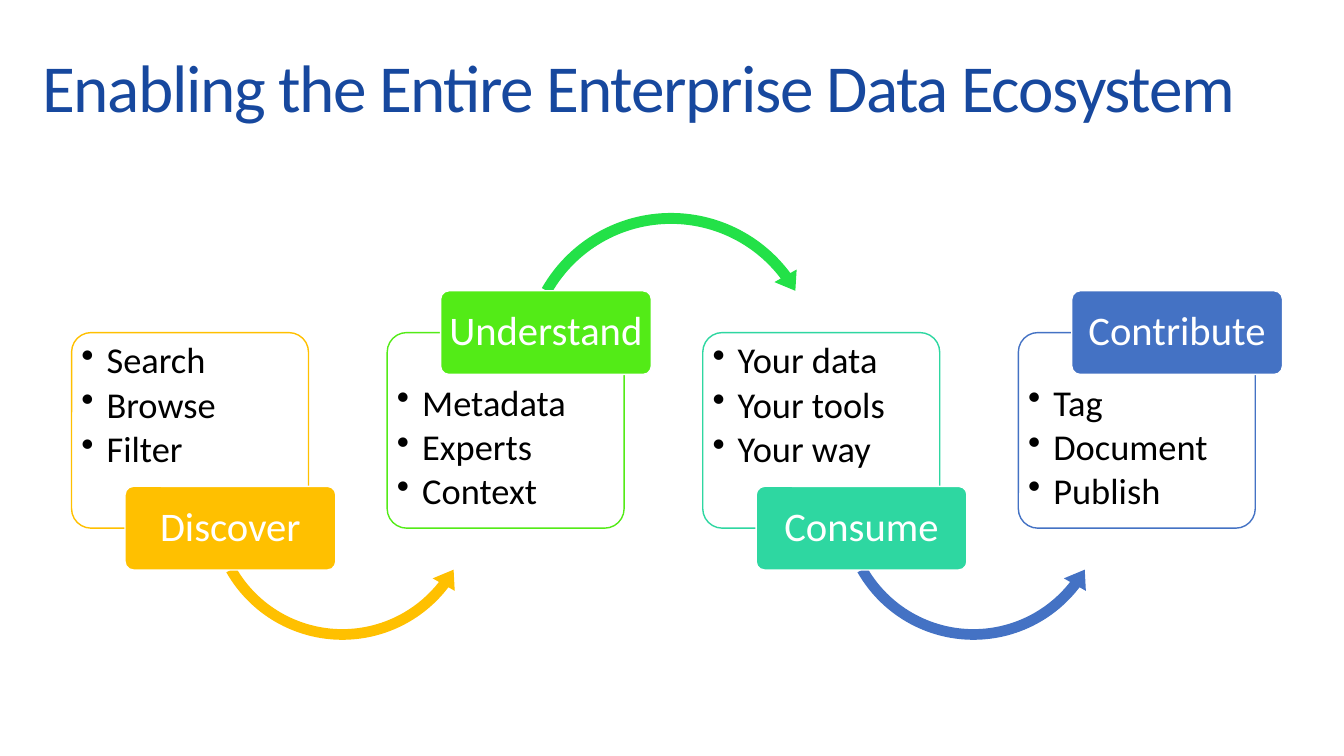
from lxml import etree
from pptx import Presentation
from pptx.dml.color import RGBColor
from pptx.enum.shapes import MSO_SHAPE
from pptx.enum.text import MSO_ANCHOR, PP_ALIGN
from pptx.oxml.ns import qn
from pptx.util import Inches, Pt

ROUND = MSO_SHAPE.ROUNDED_RECTANGLE
OVER = MSO_SHAPE.CIRCULAR_ARROW
UNDER = MSO_SHAPE.LEFT_CIRCULAR_ARROW
TOP, MIDDLE = MSO_ANCHOR.TOP, MSO_ANCHOR.MIDDLE
LEFT, CENTER = PP_ALIGN.LEFT, PP_ALIGN.CENTER

COLORS = {
    "title": "17489E", "text": "000000", "white": "FFFFFF",
    "amber": "FFC000", "lime": "53EB17", "green": "23E148",
    "teal": "2ED7A1", "blue": "4472C4",
}
OVER_ADJ = (0.035, 4.305, 193.94, 125.755, 0.041)
UNDER_ADJ = (0.038, 4.812, 22.568, 90.245, 0.045)
STEPS = [
    ("Discover", ("Search", "Browse", "Filter"), "amber", "amber"),
    ("Understand", ("Metadata", "Experts", "Context"), "lime", "green"),
    ("Consume", ("Your data", "Your tools", "Your way"), "teal", "blue"),
    ("Contribute", ("Tag", "Document", "Publish"), "blue", None),
]
CARD_W, CARD_H, CARD_STEP = 2.35, 1.94, 3.13
LABEL_W, LABEL_H = 2.09, 0.83


def rgb(name):
    return RGBColor.from_string(COLORS[name])


def write(sp, lines, size, color, align=LEFT, anchor=TOP, margins=(0.04, 0.04),
          wrap=True, after=0, bullet=False, spacing=None):
    tf = sp.text_frame
    tf.word_wrap = wrap
    tf.vertical_anchor = anchor
    tf.margin_left = tf.margin_right = Inches(margins[0])
    tf.margin_top = Inches(margins[1])
    tf.margin_bottom = Inches(0.04)
    for i, line in enumerate(lines):
        p = tf.add_paragraph() if i else tf.paragraphs[0]
        p.alignment = align
        p.line_spacing = 0.9
        p.space_after = Pt(after)
        if bullet:
            pPr = p._p.get_or_add_pPr()
            pPr.set("marL", str(Inches(0.25)))
            pPr.set("indent", str(-Inches(0.25)))
            etree.SubElement(pPr, qn("a:buChar")).set("char", "•")
        r = p.add_run()
        r.text = line
        r.font.name = "Calibri"
        r.font.size = Pt(size)
        r.font.color.rgb = rgb(color)
        if spacing is not None:
            r._r.get_or_add_rPr().set("spc", str(spacing))


def add_shape(s, kind, x, y, w, h, fill, line=None, adj=(0.1,)):
    sp = s.shapes.add_shape(kind, Inches(x), Inches(y), Inches(w), Inches(h))
    sp.shadow.inherit = False
    for i, value in enumerate(adj):
        sp.adjustments[i] = value
    sp.fill.solid()
    sp.fill.fore_color.rgb = rgb(fill)
    if line:
        sp.line.color.rgb = rgb(line)
        sp.line.width = Pt(1)
    else:
        sp.line.fill.background()
    return sp


def add_title(s, x, y, w, h):
    sp = s.shapes.add_textbox(Inches(x), Inches(y), Inches(w), Inches(h))
    write(sp, ["Enabling the Entire Enterprise Data Ecosystem"], 48, "title",
          margins=(0.16, 0.1), spacing=-100)


def add_step(s, x, y, label, items, color, arrow, raised):
    card = add_shape(s, ROUND, x, y, CARD_W, CARD_H, "white", color)
    write(card, items, 26, "text", margins=(0.04, 0.46 if raised else 0.04),
          after=3.6, bullet=True)
    if arrow and raised:
        add_shape(s, OVER, x + 1.27, y - 1.26, 3.09, 3.09, arrow, adj=OVER_ADJ)
    elif arrow:
        add_shape(s, UNDER, x + 1.29, y + 0.33, 2.79, 2.79, arrow, adj=UNDER_ADJ)
    edge = y if raised else y + CARD_H
    tag = add_shape(s, ROUND, x + 0.53, edge - LABEL_H / 2, LABEL_W, LABEL_H,
                    color, "white")
    write(tag, [label], 29, "white", align=CENTER, anchor=MIDDLE, wrap=False)


def add_flow(s, x, y):
    for i, step in enumerate(STEPS):
        add_step(s, x + i * CARD_STEP, y, *step, raised=i % 2 == 1)


prs = Presentation()
prs.slide_width, prs.slide_height = Inches(13.33), Inches(7.5)
s = prs.slides.add_slide(prs.slide_layouts[6])
add_title(s, 0.26, 0.44, 13.07, 0.98)
add_flow(s, 0.71, 3.3)
prs.save("out.pptx")
